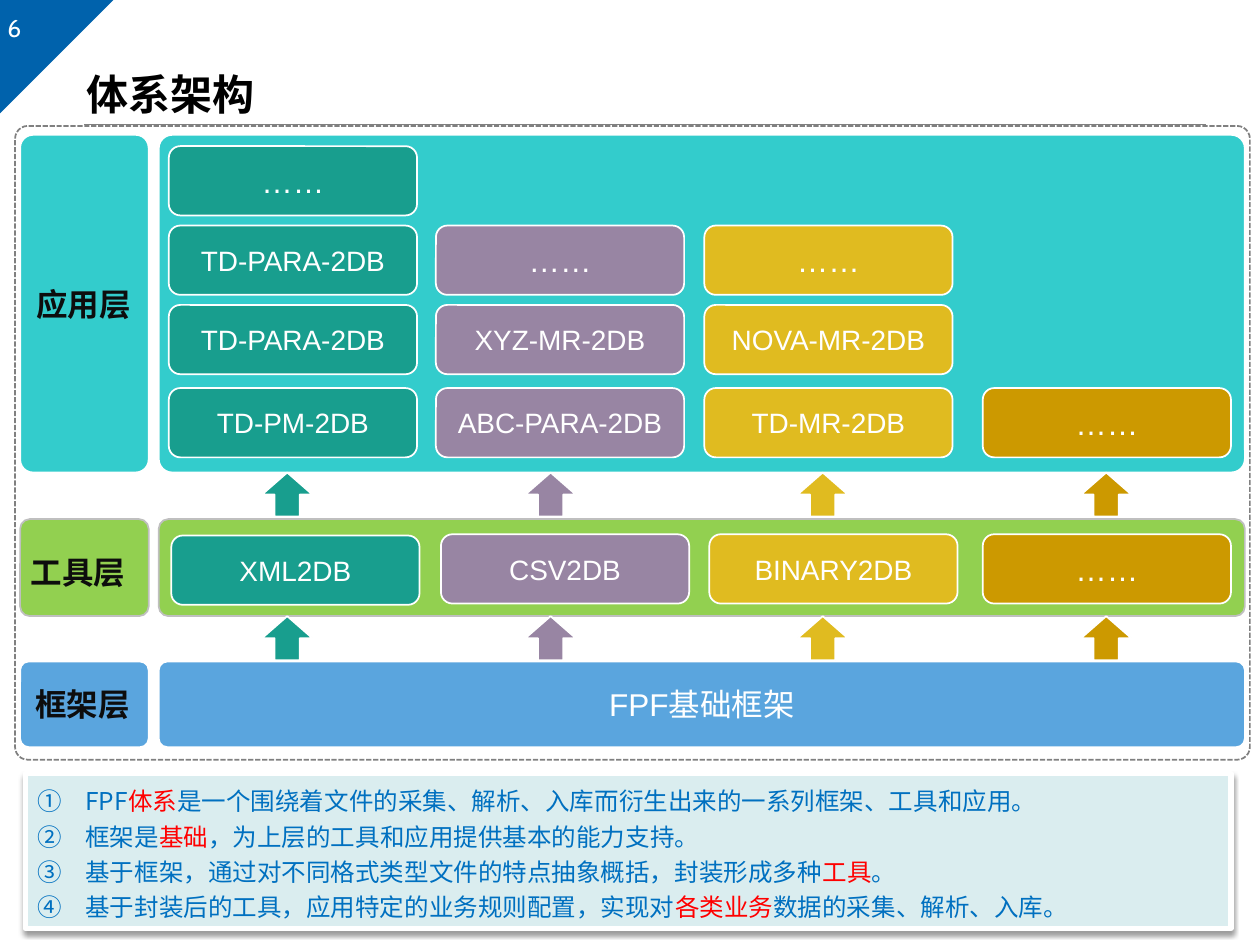
from lxml.etree import SubElement as Sub
from pptx import Presentation
from pptx.dml.color import RGBColor as Rgb
from pptx.enum.dml import MSO_LINE as Dash
from pptx.enum.shapes import MSO_CONNECTOR as Conn, MSO_SHAPE as Kind
from pptx.enum.text import MSO_ANCHOR as Anchor, PP_ALIGN as Align
from pptx.oxml.ns import qn
from pptx.util import Inches, Pt

HEX = {
    "white": "FFFFFF", "black": "000000", "ink": "0D0D0D", "gray": "808080",
    "edge": "BFBFBF", "navy": "0062AC", "text": "0070C0", "red": "FF0000",
    "pale": "DAEDEF", "sky": "5AA5DE", "lime": "92D050", "aqua": "33CCCC",
    "teal": "189E8E", "plum": "9885A3", "gold": "E0BB20", "ochre": "CC9900",
}
SANS, CJK = "Arial", "Noto Sans CJK SC"
DOTS = "……"

LAYERS = [
    ("框架层", "sky", "white", 5.25, 0.68, 0.1),
    ("工具层", "lime", "edge", 4.12, 0.77, 0.1),
    ("应用层", "aqua", "white", 1.07, 2.68, 0.04),
]
STACKS = [
    ("teal", 1.34, 1.36, 4.25, 2.08, "XML2DB",
     ["TD-PM-2DB", "TD-PARA-2DB", "TD-PARA-2DB", DOTS]),
    ("plum", 3.46, 3.5, 4.24, 4.17, "CSV2DB",
     ["ABC-PARA-2DB", "XYZ-MR-2DB", DOTS]),
    ("gold", 5.59, 5.63, 4.24, 6.33, "BINARY2DB",
     ["TD-MR-2DB", "NOVA-MR-2DB", DOTS]),
    ("ochre", 7.8, 7.8, 4.24, 8.58, DOTS, [DOTS]),
]
ROWS = [3.08, 2.42, 1.79, 1.16]
NOTES = [
    [("FPF", "text"), ("体系", "red"),
     ("是一个围绕着文件的采集、解析、入库而衍生出来的一系列框架、工具和应用。", "text")],
    [("框架是", "text"), ("基础", "red"),
     ("，为上层的工具和应用提供基本的能力支持。", "text")],
    [("基于框架，通过对不同格式类型文件的特点抽象概括，封装形成多种", "text"),
     ("工具", "red"), ("。", "text")],
    [("基于封装后的工具，应用特定的业务规则配置，实现对", "text"),
     ("各类业务", "red"), ("数据的采集、解析、入库。", "text")],
]

deck = Presentation()
deck.slide_width, deck.slide_height = Inches(10), Inches(7.5)
slide = deck.slides.add_slide(deck.slide_layouts[6])


def color(name):
    return Rgb.from_string(HEX[name])


def write(para, text, size, tone, face=SANS, bold=False):
    run = para.add_run()
    run.text = text
    font = run.font
    font.size, font.bold, font.name = Pt(size), bold, face
    font.color.rgb = color(tone)
    Sub(run._r.get_or_add_rPr(), qn("a:ea")).set("typeface", face)


def draw(kind, box, fill=None, edge="white", width=1, adj=None):
    shape = slide.shapes.add_shape(kind, *map(Inches, box))
    shape.shadow.inherit = False
    if fill:
        shape.fill.solid()
        shape.fill.fore_color.rgb = color(fill)
    else:
        shape.fill.background()
    if edge:
        shape.line.color.rgb = color(edge)
        shape.line.width = Pt(width)
    else:
        shape.line.fill.background()
    if adj is not None:
        shape.adjustments[0] = adj
    return shape


def start(shape, align=Align.CENTER):
    frame = shape.text_frame
    frame.word_wrap = False
    frame.vertical_anchor = Anchor.MIDDLE
    para = frame.paragraphs[0]
    para.alignment = align
    return para


def block(left, top, fill, text):
    shape = draw(Kind.ROUNDED_RECTANGLE, (left, top, 1.97, 0.55), fill)
    write(start(shape), text, 18 if text == DOTS else 16, "white")


def label(box, text, size, tone, face, bold=False):
    area = slide.shapes.add_textbox(*map(Inches, box))
    area.text_frame.word_wrap = True
    para = area.text_frame.paragraphs[0]
    write(para, text, size, tone, face, bold)
    return area


draw(Kind.RIGHT_TRIANGLE, (0, 0, 0.9, 0.9), "navy", None).rotation = 90
label((-0.04, 0.05, 2.33, 0.31), "6", 14, "white", "Cabin")
rule = slide.shapes.add_connector(
    Conn.STRAIGHT, Inches(0.67), Inches(0.99), Inches(9.57), Inches(0.99))
rule.line.color.rgb = color("gray")
rule.line.width = Pt(0.75)
Sub(rule._element.spPr, qn("a:effectLst"))
title = label((0.59, 0.49, 3.9, 0.51), "体系架构", 24, "black", CJK, True)
title.text_frame.vertical_anchor = Anchor.MIDDLE

panel = draw(Kind.RECTANGLE, (0.2, 6.14, 9.57, 1.23), "pale", width=3)
glow = Sub(panel._element.spPr.find(qn("a:effectLst")), qn("a:outerShdw"),
           blurRad=str(Pt(3.1)), dist=str(Pt(1.6)), dir="5400000",
           algn="t", rotWithShape="0")
shade = Sub(glow, qn("a:srgbClr"), val=HEX["black"])
Sub(shade, qn("a:alpha"), val="38000")
start(panel)
frame = panel.text_frame
frame.word_wrap = True
for i, note in enumerate(NOTES):
    para = frame.add_paragraph() if i else frame.paragraphs[0]
    para.alignment = Align.LEFT
    para.line_spacing = 1.2
    props = para._p.get_or_add_pPr()
    props.set("marL", str(Inches(0.38)))
    props.set("indent", str(-Inches(0.38)))
    Sub(props, qn("a:buFont"), typeface="+mj-ea")
    Sub(props, qn("a:buAutoNum"), type="circleNumDbPlain")
    for text, tone in note:
        write(para, text, 14, tone, CJK)

for name, fill, edge, top, high, adj in LAYERS:
    band = draw(Kind.ROUNDED_RECTANGLE, (1.26, top, 8.62, high), fill, edge, adj=adj)
    side = draw(Kind.ROUNDED_RECTANGLE, (0.16, top, 1.02, high), fill, edge, adj=0.1)
    tool = name == "工具层"
    para = start(side, Align.CENTER if tool else Align.LEFT)
    write(para, name, 18, "ink", CJK, True)
    if tool:
        para.line_spacing = 1.5
        inner = side.text_frame
        inner.margin_left = inner.margin_top = 0
        inner.margin_bottom = Inches(0.08)
    if name == "框架层":
        para = start(band)
        write(para, "FPF", 18, "white")
        write(para, "基础框架", 18, "white", CJK)

for fill, left, base, top, mid, tool, apps in STACKS:
    block(base, top, fill, tool)
    for y, app in zip(ROWS, apps):
        block(left, y, fill, app)
    for y in (4.89, 3.75):
        draw(Kind.UP_ARROW, (mid, y, 0.4, 0.35), fill)

border = draw(Kind.ROUNDED_RECTANGLE, (0.12, 1, 9.8, 5.03), edge="gray", adj=0.02)
border.line.dash_style = Dash.SQUARE_DOT

deck.save("out.pptx")
